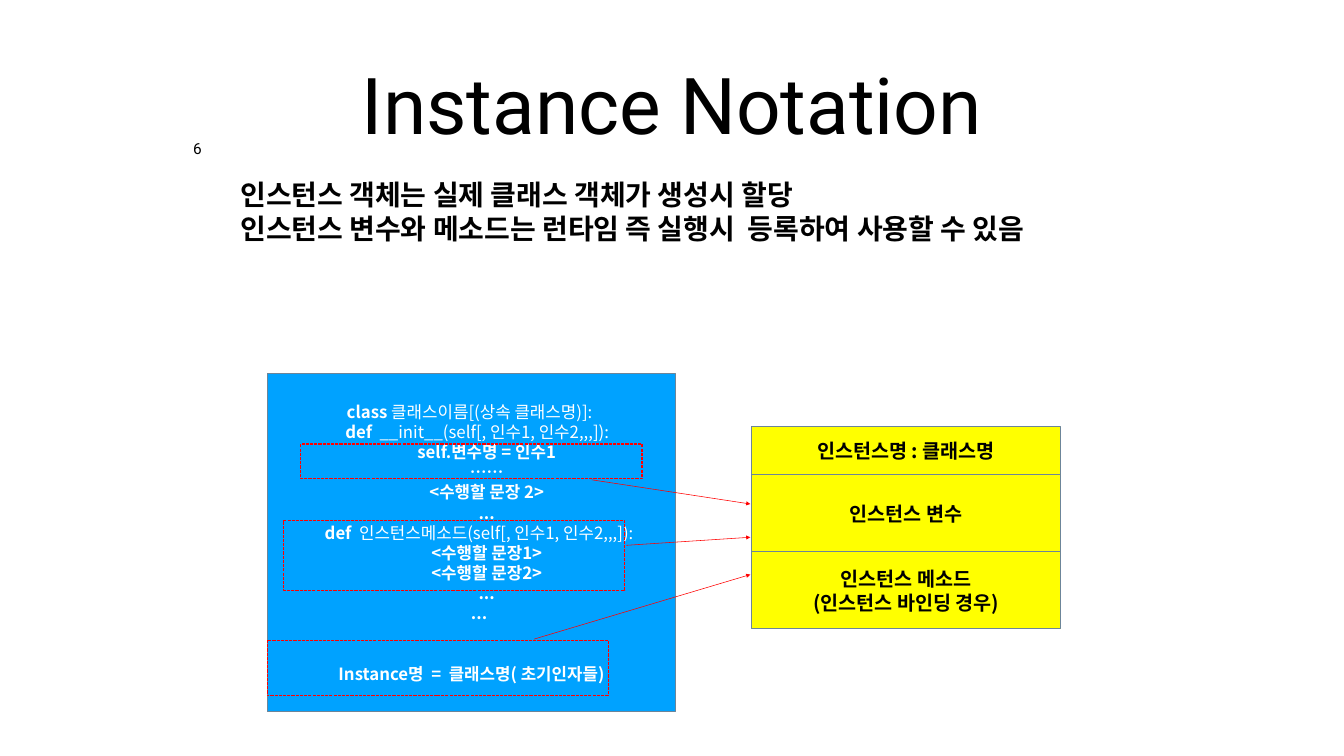
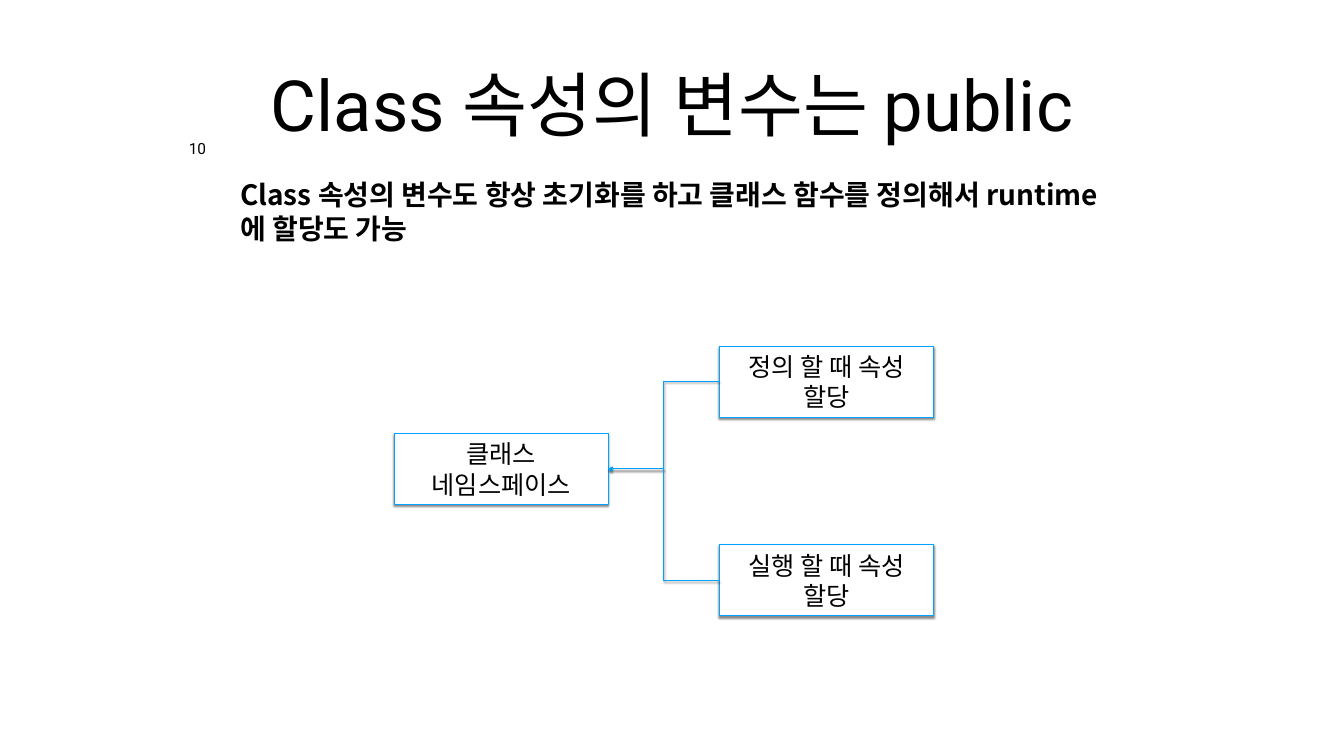
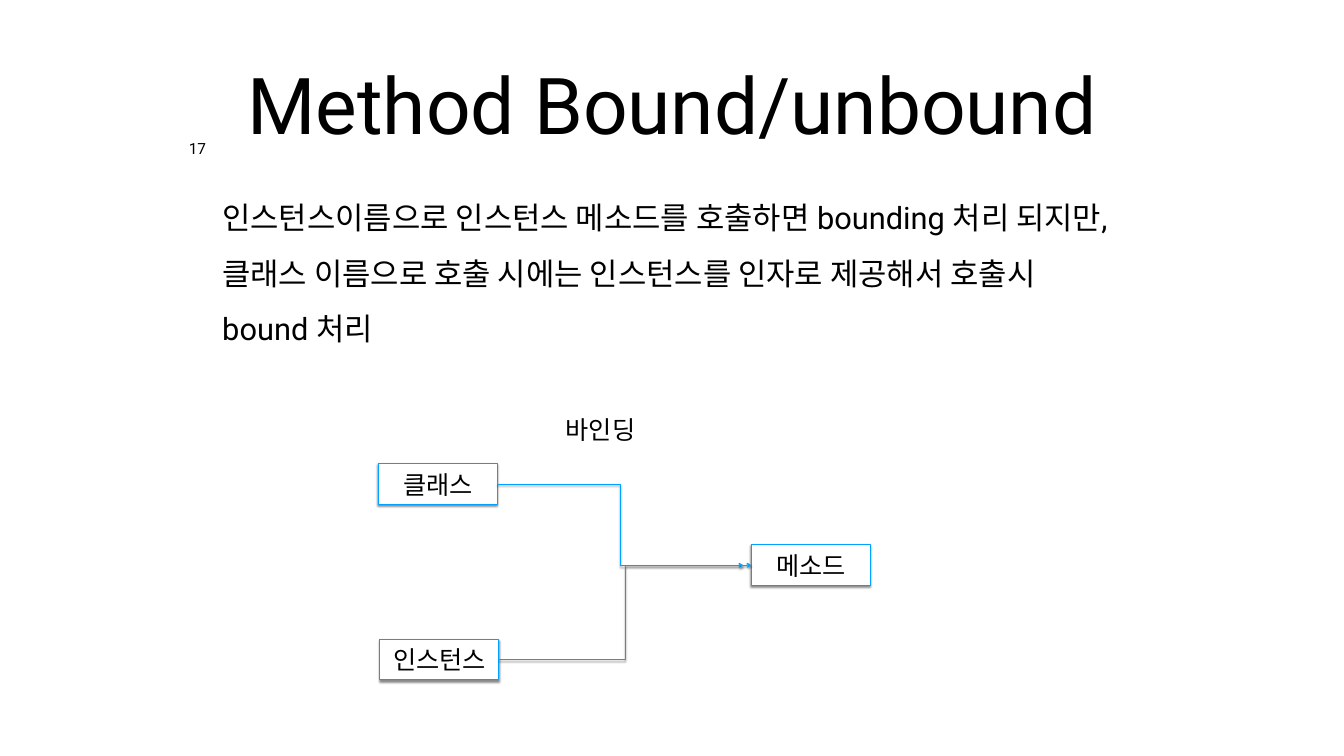
from lxml.etree import SubElement
from pptx import Presentation
from pptx.dml.color import RGBColor
from pptx.enum.dml import MSO_LINE as Dash
from pptx.enum.shapes import MSO_CONNECTOR as Conn, MSO_SHAPE as Kind
from pptx.enum.text import MSO_ANCHOR as Anchor, MSO_AUTO_SIZE as Auto, PP_ALIGN as Align
from pptx.oxml.ns import qn
from pptx.util import Inches, Pt

BLACK = RGBColor(0x00, 0x00, 0x00)
WHITE = RGBColor(0xFF, 0xFF, 0xFF)
BLUE = RGBColor(0x00, 0xA2, 0xFF)
SLATE = RGBColor(0x6C, 0x85, 0x99)
YELLOW = RGBColor(0xFF, 0xFF, 0x00)
RED = RGBColor(0xFF, 0x00, 0x00)
SANS = "Noto Sans CJK KR"
ROBOTO = "Roboto"

HEADS = [
    ("Instance Notation", 112, "6"),
    ("Class 속성의 변수는 public", 100.8, "10"),
    ("Method Bound/unbound", 112, "17"),
]
NOTES = [
    ["인스턴스 객체는 실제 클래스 객체가 생성시 할당",
     "인스턴스 변수와 메소드는 런타임 즉 실행시  등록하여 사용할 수 있음"],
    ["Class 속성의 변수도 항상 초기화를 하고 클래스 함수를 정의해서 runtime에 할당도 가능"],
]
BODY = ("인스턴스이름으로 인스턴스 메소드를 호출하면 bounding 처리 되지만, "
        "클래스 이름으로 호출 시에는 인스턴스를 인자로 제공해서 호출시 bound 처리")
CODE = [
    [("class ", True), ("클래스이름[(상속 클래스명)]: ", False)],
    [("    def", True), ("  __init__(self[, 인수1, 인수2,,,]): ", False)],
    [("        self.변수명 = 인수1", True)],
    [("        ……", True)],
    [("        <수행할 문장 2>", True)],
    [("         ... ", True)],
    [("    def  ", True), ("인스턴스메소드(self[, 인수1, 인수2,,,]):", False)],
    [("         <수행할 문장1> ", True)],
    [("         <수행할 문장2> ", True)],
    [("         ... ", True)],
    [("    ...", True)],
    [("Instance명  =  클래스명( 초기인자들)", True)],
]
PARTS = [
    (["인스턴스명 : 클래스명"], 0.95),
    (["인스턴스 변수"], 1.53),
    (["인스턴스 메소드", "(인스턴스 바인딩 경우)"], 1.53),
]
FRAMES = [
    ((5.3, 12.7, 6.77, 1.1), (10.6, 12.68, 14.89, 11.4)),
    ((5.63, 10.33, 6.77, 1.38), (12.43, 10.82, 14.89, 10.66)),
    ((5.97, 8.81, 6.77, 0.69), (11.74, 9.52, 14.89, 10)),
]
SPACE = ("클래스 네임스페이스", 7.82, 8.6)
TIMES = [("정의 할 때 속성 할당", 14.28, 6.87), ("실행 할 때 속성 할당", 14.28, 10.81)]
BIG = (4.25, 1.41)
OWNERS = [("클래스", 7.51, 9.2), ("인스턴스", 7.54, 12.68)]
METHOD = ("메소드", 14.91, 10.81)
SMALL = (2.36, 0.81)


def plain(lines, bold=False):
    return [[(line, bold)] for line in lines]


def write(shape, paras, size, font=SANS, color=BLACK, align=Align.CENTER,
          anchor=Anchor.MIDDLE, pad=(0.1, 0.1), wrap=True):
    frame = shape.text_frame
    frame.word_wrap = wrap
    frame.auto_size = Auto.NONE
    frame.vertical_anchor = anchor
    frame.margin_left = frame.margin_right = Inches(pad[0])
    frame.margin_top = frame.margin_bottom = Inches(pad[1])
    for i, runs in enumerate(paras):
        para = frame.add_paragraph() if i else frame.paragraphs[0]
        para.alignment = align
        for text, bold in runs:
            run = para.add_run()
            run.text = text
            run.font.size = Pt(size)
            run.font.bold = bold
            run.font.color.rgb = color
            run.font.name = font
            SubElement(run.font._element, qn("a:ea"), typeface=SANS)
    return frame.paragraphs


def place(shape, *area):
    shape.left, shape.top, shape.width, shape.height = map(Inches, area)
    return shape


def label(slide, *area):
    return slide.shapes.add_textbox(*map(Inches, area))


def cast(shape):
    props = shape._element.spPr
    effect = props.find(qn("a:effectLst"))
    if effect is None:
        effect = SubElement(props, qn("a:effectLst"))
    shade = SubElement(effect, qn("a:outerShdw"), blurRad=str(Pt(3)),
                       dist=str(Pt(2.4)), dir="5400000", rotWithShape="0")
    tint = SubElement(shade, qn("a:srgbClr"), val=str(BLACK))
    SubElement(tint, qn("a:alpha"), val="45000")


def rect(slide, area, fill, line):
    shape = slide.shapes.add_shape(Kind.RECTANGLE, *map(Inches, area))
    if fill is None:
        shape.fill.background()
    else:
        shape.fill.solid()
        shape.fill.fore_color.rgb = fill
    shape.line.color.rgb = line
    shape.line.width = Pt(1.5)
    shape.shadow.inherit = False
    return shape


def node(slide, item, size):
    text, x, y = item
    shape = rect(slide, (x, y, *size), WHITE, BLUE)
    cast(shape)
    write(shape, plain([text]), 36)
    return shape


def link(slide, kind, ends, color, width, tip):
    line = slide.shapes.add_connector(kind, *ends)
    line.line.color.rgb = color
    line.line.width = Pt(width)
    SubElement(line.line._get_or_add_ln(), qn("a:tailEnd"), type=tip)
    return line


def bend(slide, start, side, end, goal, gap=0):
    x = start.left + (start.width if side == 3 else 0)
    tip = end.left + (end.width if goal == 3 else 0) - Inches(gap)
    ends = (x, start.top + start.height // 2, tip, end.top + end.height // 2)
    line = link(slide, Conn.ELBOW, ends, BLUE, 1.5, "arrow")
    line.begin_connect(start, side)
    if not gap:
        line.end_connect(end, goal)
    cast(line)


def start(deck, index, layout):
    title, size, number = HEADS[index]
    slide = deck.slides.add_slide(deck.slide_layouts[layout])
    head = place(slide.shapes.title, 4.8, 0.39, 17.07, 3.32)
    write(head, plain([title]), size, ROBOTO, pad=(0.08, 0.08))
    wide = 0.16 + 0.17 * len(number)
    page = label(slide, 3.92 - wide / 2, 2.75, wide, 0.45)
    paras = write(page, plain([number]), 22, ROBOTO, anchor=Anchor.TOP,
                  pad=(0.08, 0.08), wrap=False)
    paras[0].line_spacing = 0.8
    return slide


def note(slide, lines, height):
    write(label(slide, 4.67, 3.48, 17.48, height), plain(lines, True), 40,
          align=Align.LEFT, anchor=Anchor.TOP, pad=(0.1, 0.05))


def notation(deck):
    slide = start(deck, 0, 5)
    note(slide, NOTES[0], 2.12)
    y = 8.47
    for lines, height in PARTS:
        part = rect(slide, (14.91, y, 6.14, height), YELLOW, SLATE)
        write(part, plain(lines, True), 28)
        y += height
    code = rect(slide, (5.3, 7.42, 8.11, 6.7), BLUE, SLATE)
    paras = write(code, CODE, 24, color=WHITE)
    paras[-1].space_before = Pt(58)
    for area, ends in FRAMES:
        frame = rect(slide, area, None, RED)
        frame.line.dash_style = Dash.SQUARE_DOT
        arrow = link(slide, Conn.STRAIGHT, map(Inches, ends), RED, 0.79, "triangle")
        SubElement(arrow._element.spPr, qn("a:effectLst"))


def public(deck):
    slide = start(deck, 1, 5)
    note(slide, NOTES[1], 1.45)
    space = node(slide, SPACE, BIG)
    for item in TIMES:
        bend(slide, node(slide, item, BIG), 1, space, 3)


def bound(deck):
    slide = start(deck, 2, 1)
    body = place(slide.placeholders[1], 4.33, 3.5, 18, 4)
    para = body.text_frame.paragraphs[0]
    props = para._p.get_or_add_pPr()
    for key in ("marL", "indent", "hangingPunct"):
        props.set(key, "0")
    SubElement(props, qn("a:buNone"))
    write(body, plain([BODY]), 44, ROBOTO, align=Align.LEFT,
          anchor=Anchor.TOP, pad=(0.08, 0.08))
    para.line_spacing = 1.5
    para.space_before = Pt(0)
    owners = [node(slide, item, SMALL) for item in OWNERS]
    method = node(slide, METHOD, SMALL)
    for owner, gap in zip(owners, (0.16, 0)):
        bend(slide, owner, 3, method, 1, gap)
    write(label(slide, 11.13, 8.13, 3.46, 0.81), plain(["바인딩"]), 36,
          align=Align.LEFT, anchor=Anchor.TOP)


def main():
    deck = Presentation()
    deck.slide_width, deck.slide_height = Inches(26.67), Inches(15)
    for build in (notation, public, bound):
        build(deck)
    deck.save("out.pptx")


if __name__ == "__main__":
    main()
